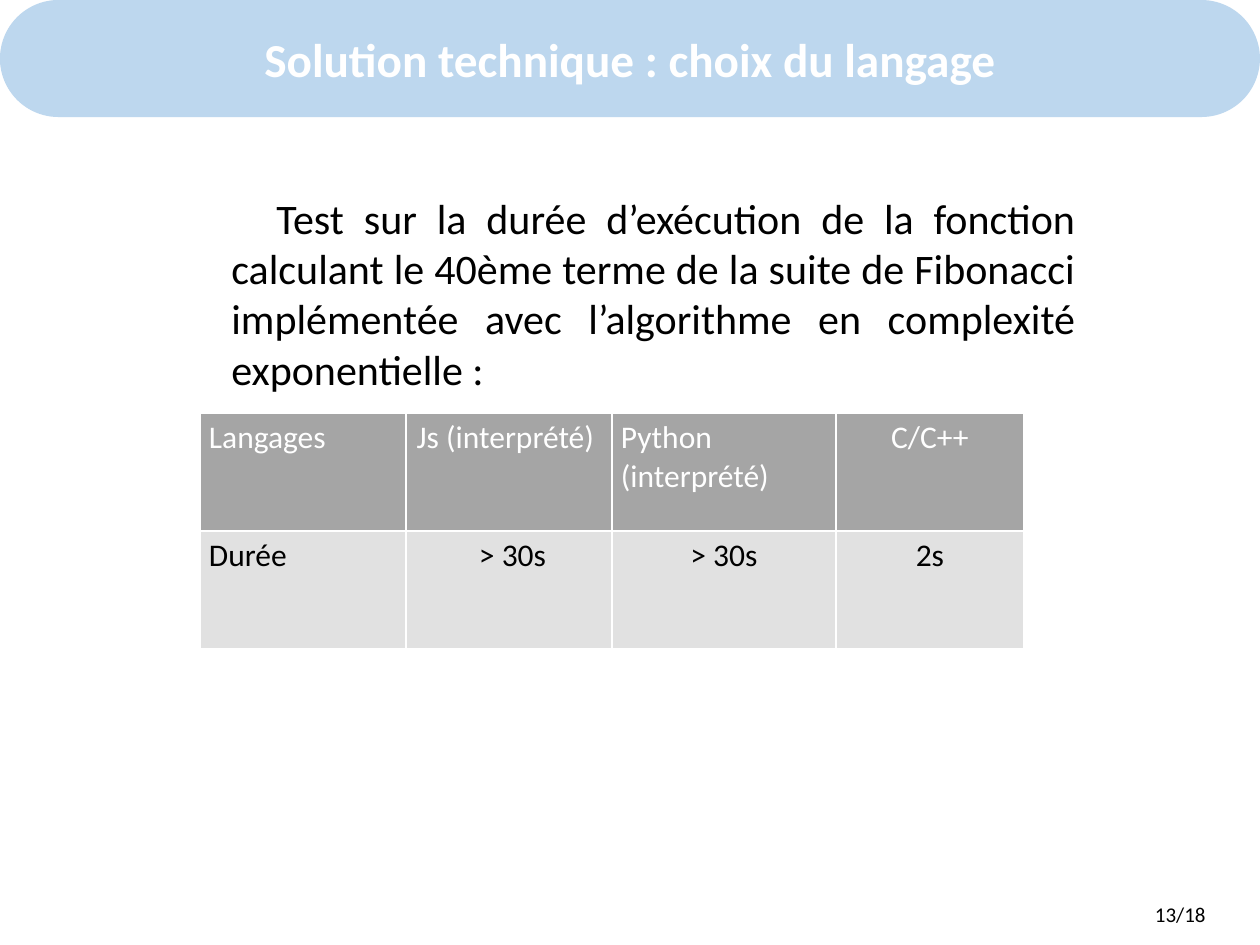
from lxml.etree import SubElement
from pptx import Presentation
from pptx.dml.color import RGBColor
from pptx.enum.shapes import MSO_SHAPE as Shape
from pptx.enum.text import MSO_ANCHOR as Anchor, PP_ALIGN as Align
from pptx.oxml.ns import qn
from pptx.util import Pt

EMU_PER_PX = 914400 / 126
COLORS = {
    "white": "FFFFFF",
    "black": "000000",
    "banner": "BDD7EE",
    "header": "A5A5A5",
    "body": "E1E1E1",
}


def px(length):
    return round(length * EMU_PER_PX)


def color(name):
    return RGBColor.from_string(COLORS[name])


class SlideBuilder:
    font_name = "Calibri"

    def __init__(self, slide):
        self.slide = slide

    def fill_text(self, frame, text, size, ink, align, bold=False):
        paragraph = frame.paragraphs[0]
        paragraph.alignment = align
        run = paragraph.add_run()
        run.text = text
        font_format = {"name": self.font_name, "size": Pt(size), "bold": bold}
        for name, value in font_format.items():
            setattr(run.font, name, value)
        run.font.color.rgb = color(ink)
        return paragraph

    def banner(self, box, text):
        shape = self.slide.shapes.add_shape(Shape.ROUNDED_RECTANGLE, *map(px, box))
        shape.adjustments[0] = 0.5
        shape.shadow.inherit = False
        shape.fill.solid()
        shape.fill.fore_color.rgb = color("banner")
        shape.line.fill.background()
        shape.text_frame.vertical_anchor = Anchor.MIDDLE
        self.fill_text(shape.text_frame, text, 27, "white", Align.CENTER, bold=True)

    def text(self, box, text, size, align, margin=0, indent=0):
        frame = self.slide.shapes.add_textbox(*map(px, box)).text_frame
        frame.word_wrap = True
        paragraph = self.fill_text(frame, text, size, "black", align)
        properties = paragraph._p.get_or_add_pPr()
        for name, value in {"marL": margin, "indent": indent}.items():
            properties.set(name, str(px(value)))

    def border(self, cell):
        properties = cell._tc.get_or_add_tcPr()
        for side in ("lnL", "lnR", "lnT", "lnB"):
            line = SubElement(properties, qn(f"a:{side}"), w=str(Pt(1)))
            fill = SubElement(line, qn("a:solidFill"))
            SubElement(fill, qn("a:srgbClr"), val=COLORS["white"])

    def table(self, left, top, widths, row_height, rows, row_styles):
        size = (sum(widths), row_height * len(rows))
        frame = self.slide.shapes.add_table(
            len(rows), len(widths), *map(px, (left, top, *size)))
        table = frame.table
        for column, width in zip(table.columns, widths):
            column.width = px(width)
        cell_format = {
            "margin_left": px(9), "margin_right": px(9),
            "margin_top": px(6), "margin_bottom": px(6),
        }
        for row, cells, (background, ink) in zip(table.rows, rows, row_styles):
            row.height = px(row_height)
            for cell, (text, align) in zip(row.cells, cells):
                for name, value in cell_format.items():
                    setattr(cell, name, value)
                self.border(cell)
                cell.fill.solid()
                cell.fill.fore_color.rgb = color(background)
                self.fill_text(cell.text_frame, text, 18, ink, align)


def main():
    presentation = Presentation()
    presentation.slide_width, presentation.slide_height = px(1260), px(945)
    builder = SlideBuilder(
        presentation.slides.add_slide(presentation.slide_layouts[6]))

    builder.banner((0, 0, 1260, 117), "Solution technique : choix du langage")
    builder.text(
        (171, 186, 917, 217),
        "Test sur la durée d’exécution de la fonction calculant le 40ème terme "
        "de la suite de Fibonacci implémentée avec l’algorithme en complexité "
        "exponentielle :",
        24, Align.JUSTIFY, margin=48, indent=45)
    builder.table(
        200, 413, (206, 206, 224, 188), 118,
        [
            [("Langages", Align.LEFT), ("Js (interprété) ", Align.CENTER),
             ("Python (interprété)", Align.LEFT), ("C/C++", Align.CENTER)],
            [("Durée", Align.LEFT), (" > 30s", Align.CENTER),
             ("> 30s", Align.CENTER), ("2s", Align.CENTER)],
        ],
        [("header", "white"), ("body", "black")])
    builder.text((935, 895, 283, 50), "13/18", 12, Align.RIGHT)

    presentation.save("out.pptx")


if __name__ == "__main__":
    main()
